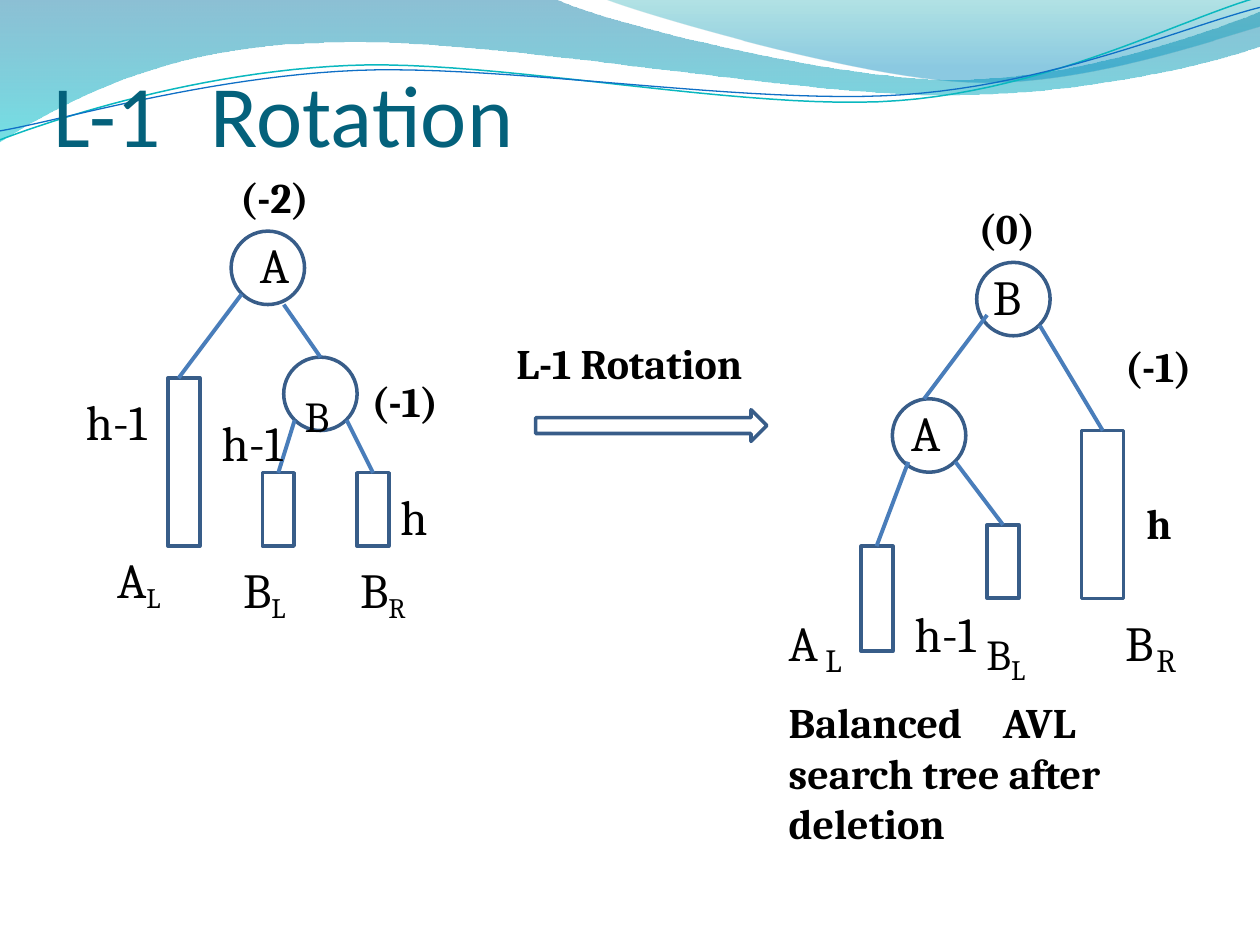
from lxml.etree import SubElement
from pptx import Presentation
from pptx.dml.color import RGBColor
from pptx.enum.shapes import MSO_CONNECTOR, MSO_SHAPE
from pptx.enum.text import MSO_ANCHOR, MSO_AUTO_SIZE, PP_ALIGN
from pptx.oxml.ns import qn
from pptx.util import Cm, Pt

COLORS = {
    "title": "04617B", "text": "000000", "outline": "385D89", "edge": "497DBA",
    "wave_top": "0074A1", "wave_bottom": "00C6CF",
    "crest_top": "00A1A9", "crest_bottom": "008BBF",
    "teal_line": "0AB8BF", "blue_line": "0F6FC6",
}
rgb = {part: RGBColor.from_string(value) for part, value in COLORS.items()}

prs = Presentation()
prs.slide_width, prs.slide_height = Cm(25.4), Cm(19.05)
slide = prs.slides.add_slide(prs.slide_layouts[5])
shapes = slide.shapes


def add_wave(start, segments, close):
    """Outline from line ends (x, y) and cubic curves (x1, y1, x2, y2, x, y), in cm."""
    points = [start]
    for segment in segments:
        if len(segment) == 2:
            points.append(segment)
            continue
        x0, y0 = points[-1]
        x1, y1, x2, y2, x3, y3 = segment
        for step in range(1, 25):
            t = step / 24
            a, b, c, d = (1 - t) ** 3, 3 * t * (1 - t) ** 2, 3 * t * t * (1 - t), t ** 3
            points.append((a * x0 + b * x1 + c * x2 + d * x3,
                           a * y0 + b * y1 + c * y2 + d * y3))
    emu = [(Cm(x), Cm(y)) for x, y in points]
    builder = shapes.build_freeform(*emu[0])
    builder.add_line_segments(emu[1:], close=close)
    wave = builder.convert_to_shape()
    wave.shadow.inherit = False
    return wave


def add_label(box, paragraphs, tab=None, inset=0, centred=False):
    """Text box; each paragraph is a list of (text, size, bold, baseline in %)."""
    frame = shapes.add_textbox(*(Cm(v) for v in box)).text_frame
    frame.word_wrap = True
    frame.margin_left = frame.margin_right = frame.margin_bottom = 0
    frame.margin_top = Cm(inset)
    for index, runs in enumerate(paragraphs):
        paragraph = frame.paragraphs[0] if index == 0 else frame.add_paragraph()
        if index:
            paragraph.space_before = Pt(7.5)
        paragraph.alignment = PP_ALIGN.CENTER if centred else PP_ALIGN.LEFT
        if tab:
            stops = SubElement(paragraph._p.get_or_add_pPr(), qn("a:tabLst"))
            SubElement(stops, qn("a:tab"), pos=str(Cm(tab)), algn="l")
        for text, size, bold, baseline in runs:
            run = paragraph.add_run()
            run.text = text
            run.font.name, run.font.size, run.font.bold = "Cambria", Pt(size), bold
            run.font.color.rgb = rgb["text"]
            if baseline:
                run._r.get_or_add_rPr().set("baseline", str(baseline * 1000))


# Header waves
bands = [
    ((0, 0), [(11.18, -0.03), (12.09, 0.43, 16.87, 1.6, 19.25, 1.6),
              (21.67, 1.6, 24.33, 0.66, 25.4, 0.23), (25.43, 0.91),
              (24.97, 1.12, 22.1, 1.93, 18.95, 1.91),
              (15.8, 1.91, 9.7, 0.71, 6.53, 0.86),
              (3.28, 0.91, 1.17, 2.11, -0.03, 2.87)],
     [("wave_top", 0, 45), ("wave_bottom", 1, 55)]),
    ((12.17, -0.03), [(12.93, 0.28, 17.32, 1.57, 19.53, 1.65),
                      (21.74, 1.75, 24.41, 0.81, 25.4, 0.53), (25.4, 0)],
     [("crest_top", 0, 30), ("crest_bottom", 0.8, 45)]),
]
for start, segments, stops in bands:
    band = add_wave(start, segments, True)
    band.line.fill.background()
    band.fill.gradient()
    band.fill.gradient_angle = 270
    for stop, (color, position, opacity) in zip(band.fill.gradient_stops, stops):
        stop.color.rgb = rgb[color]
        stop.position = position
        srgb = stop._gs.find(qn("a:srgbClr"))
        SubElement(srgb, qn("a:alpha"), val=str(opacity * 1000))

ripples = [
    ("teal_line", 0.85, (0, 2.82), [(1.22, 2.36, 4.01, 1.45, 7.04, 1.32),
                                    (10.03, 1.19, 15.06, 2.26, 18.11, 2.03),
                                    (21.16, 1.8, 23.83, 0.38, 25.35, -0.05)]),
    ("blue_line", 0.75, (0, 2.64), [(1.19, 2.44, 4.17, 1.55, 7.19, 1.42),
                                    (10.24, 1.3, 15.16, 2.13, 18.21, 1.91),
                                    (21.23, 1.7, 23.9, 0.53, 25.4, 0.15)]),
]
for color, width, start, segments in ripples:
    ripple = add_wave(start, segments, False)
    ripple.fill.background()
    ripple.line.color.rgb = rgb[color]
    ripple.line.width = Pt(width)

# Title, in front of the waves
title = shapes.title
shapes._spTree.append(title._element)
title.left, title.top, title.width, title.height = Cm(1.07), Cm(1.14), Cm(16.3), Cm(2.18)
heading = title.text_frame
heading.text = "L-1\tRotation"
heading.auto_size = MSO_AUTO_SIZE.NONE
heading.vertical_anchor = MSO_ANCHOR.BOTTOM
heading.margin_left = heading.margin_right = heading.margin_top = heading.margin_bottom = 0
heading_line = heading.paragraphs[0]
heading_line.alignment = PP_ALIGN.LEFT
heading_stops = SubElement(heading_line._p.get_or_add_pPr(), qn("a:tabLst"))
SubElement(heading_stops, qn("a:tab"), pos=str(Cm(3.18)), algn="l")
for run in heading_line.runs:
    run.font.name, run.font.size = "Calibri", Pt(50)
    run.font.color.rgb = rgb["title"]

# Nodes, subtrees and rotation arrow
NODE = 1.48
nodes = [(4.66, 4.66), (5.72, 7.2), (19.69, 5.29), (17.99, 8.04)]
subtrees = [(3.39, 7.62, 0.64, 3.39), (5.29, 9.53, 0.64, 1.48), (7.2, 9.53, 0.64, 1.48),
            (17.36, 11.01, 0.64, 2.12), (19.9, 10.58, 0.64, 1.48), (21.8, 8.68, 0.85, 3.39)]
outlines = [(MSO_SHAPE.OVAL, (x, y, NODE, NODE)) for x, y in nodes]
outlines += [(MSO_SHAPE.RECTANGLE, box) for box in subtrees]
outlines.append((MSO_SHAPE.RIGHT_ARROW, (10.8, 8.26, 4.66, 0.64)))
for kind, box in outlines:
    outline = shapes.add_shape(kind, *(Cm(v) for v in box))
    outline.shadow.inherit = False
    outline.fill.background()
    outline.line.color.rgb = rgb["outline"]
    outline.line.width = Pt(2)

# Tree edges
edges = [(4.87, 5.93, 3.6, 7.62), (5.72, 6.14, 6.46, 7.2),
         (5.94, 8.47, 5.61, 9.53), (6.99, 8.47, 7.52, 9.53),
         (19.9, 6.35, 18.63, 8.04), (20.96, 6.56, 22.23, 8.68),
         (18.31, 9.31, 17.67, 11.01), (19.26, 9.31, 20.22, 10.58)]
for ends in edges:
    edge = shapes.add_connector(MSO_CONNECTOR.STRAIGHT, *(Cm(v) for v in ends))
    edge.line.color.rgb = rgb["edge"]
    edge.line.width = Pt(2.25)
    SubElement(edge._element.spPr, qn("a:effectLst"))

# Root nodes with their balance factors
for box, balance, node in [((4.67, 3.2, 1.73, 2.77), "(-2)", "A"),
                           ((19.69, 3.84, 1.22, 2.77), "(0)", "B")]:
    add_label(box, [[(balance, 24, True, 0)], [(node, 28, False, 0)]],
              inset=0.25, centred=True)

# Plain labels: left, top, width, text, size, bold
for left, top, width, text, size, bold in [
    (1.73, 7.89, 1.5, "h-1", 28, False),
    (4.47, 8.32, 1.5, "h-1", 28, False),
    (8.07, 9.8, 0.64, "h", 28, False),
    (18.37, 8.12, 0.79, "A", 28, False),
    (15.9, 12.34, 0.79, "A", 28, False),
    (16.64, 12.9, 0.43, "L", 18.5, False),
    (22.68, 12.34, 0.69, "B", 28, False),
    (23.31, 12.9, 0.48, "R", 18.5, False),
    (22.68, 6.86, 1.73, "(-1)", 24, True),
    (23.11, 10.03, 0.56, "h", 24, True),
    (10.41, 6.81, 5.72, "L-1 Rotation", 24, True),
]:
    add_label((left, top, width, 1.24), [[(text, size, bold, 0)]])

# Labels with subscripts
add_label((2.36, 11.07, 1.14, 1.24), [[("A", 28, False, 0), ("L", 27.8, False, -21)]])
add_label((4.9, 11.28, 3.43, 1.24),
          [[("B", 28, False, 0), ("L\t", 27.8, False, -21),
            ("B", 28, False, 0), ("R", 27.8, False, -21)]], tab=2.36)
add_label((6.14, 6.93, 3.02, 1.24),
          [[("B\t", 42, False, -21), ("(-1)", 24, True, 0)]], tab=1.35)
add_label((18.44, 11.68, 2.74, 1.24),
          [[("h-1 ", 28, False, 0), ("B", 42, False, -24), ("L", 27.8, False, -57)]])

# Result note
add_label((15.9, 14.05, 7.42, 3.12),
          [[("Balanced\tAVL search tree after deletion", 24, True, 0)]], tab=4.32)

prs.save("out.pptx")
